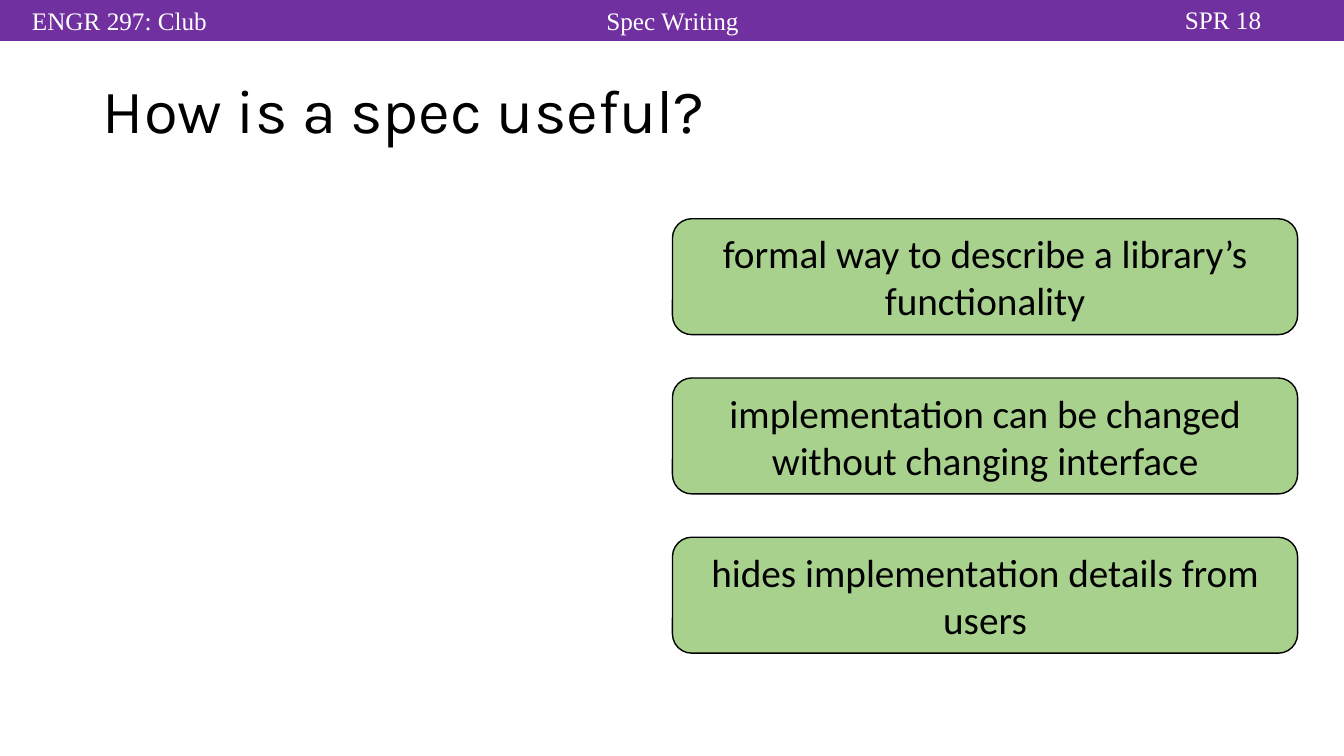
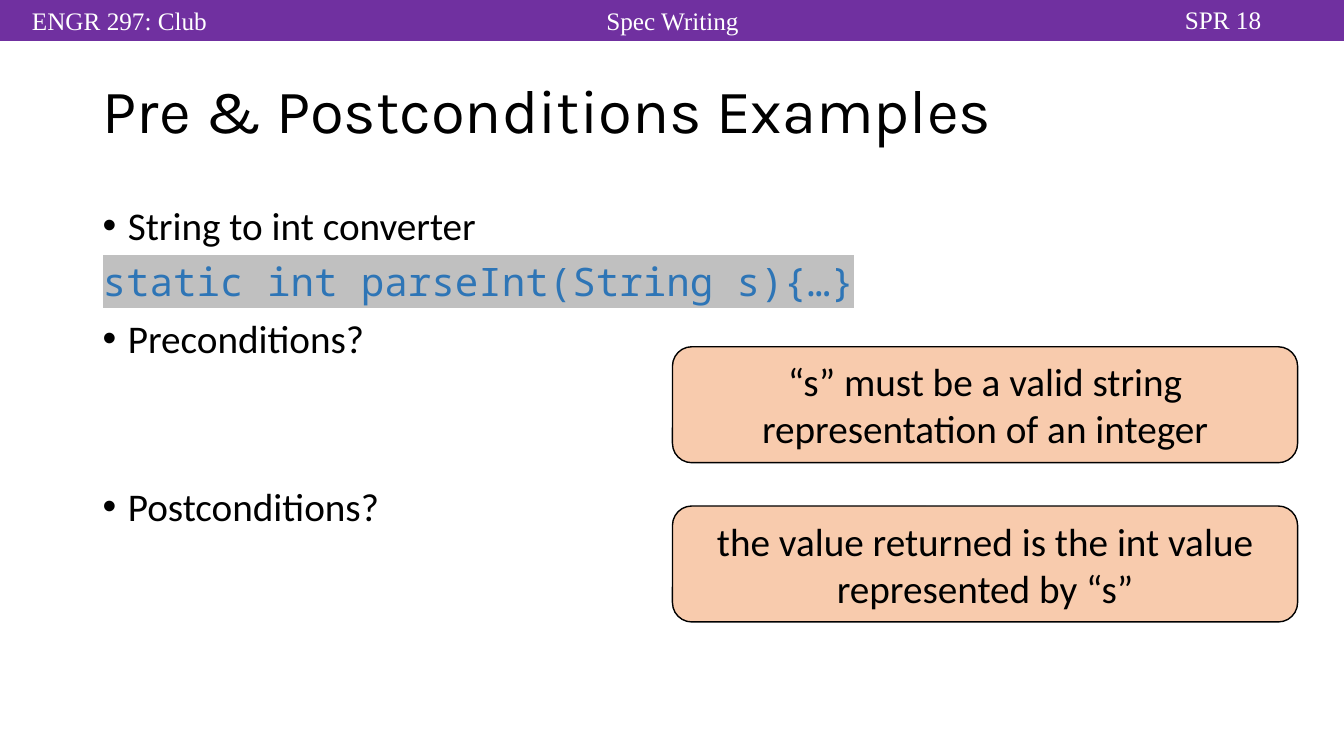
from pptx import Presentation
from pptx.dml.color import RGBColor
from pptx.enum.shapes import MSO_SHAPE
from pptx.enum.text import MSO_ANCHOR, MSO_AUTO_SIZE, PP_ALIGN
from pptx.oxml import parse_xml
from pptx.oxml.ns import nsdecls, qn
from pptx.util import Inches, Pt

RECT, ROUND = MSO_SHAPE.RECTANGLE, MSO_SHAPE.ROUNDED_RECTANGLE
MIDDLE, TOP = MSO_ANCHOR.MIDDLE, MSO_ANCHOR.TOP
LEFT, CENTER = PP_ALIGN.LEFT, PP_ALIGN.CENTER
FIXED = MSO_AUTO_SIZE.NONE

PURPLE = RGBColor(0x70, 0x30, 0xA0)
GREEN = RGBColor(0xA9, 0xD1, 0x8E)
PEACH = RGBColor(0xF8, 0xCB, 0xAD)
BLUE = RGBColor(0x2E, 0x75, 0xB6)
GRAY = RGBColor(0xC0, 0xC0, 0xC0)
BLACK = RGBColor(0, 0, 0)
WHITE = RGBColor(0xFF, 0xFF, 0xFF)

# Content
HEADER = [  # text, left, top, width
    ("Spec Writing", 4.42, 0, 4.5),
    ("SPR 18", 10.92, -0.01, 2.42),
    ("ENGR 297: Club", -0.05, 0, 2.47),
]
SLIDES = [
    {
        "title": "How is a spec useful?",
        "body": [],
        "fill": GREEN,
        "top": 2.17,
        "cards": [
            "formal way to describe a library’s functionality",
            "implementation can be changed without changing interface",
            "hides implementation details from users",
        ],
    },
    {
        "title": "Pre & Postconditions Examples",
        "body": [  # text, is code, space before in points
            ("String to int converter", False, 10),
            ("static int parseInt(String s){…}", True, 10),
            ("Preconditions?", False, 10),
            ("Postconditions?", False, 90),
        ],
        "fill": PEACH,
        "top": 3.44,
        "cards": [
            "“s” must be a valid string representation of an integer",
            "the value returned is the int value represented by “s”",
        ],
    },
]

# Layout measures in inches
WIDTH, HEIGHT = 13.33, 7.5
BAND = 0.4
MARGIN, SPAN = 0.92, 11.5
CARD_LEFT, CARD_WIDTH, CARD_HEIGHT, CARD_STEP = 6.67, 6.2, 1.15, 1.58


def style(para, size, font, color, align=LEFT):
    para.alignment = align
    for run in para.runs:
        run.font.size = Pt(size)
        run.font.name = font
        run.font.color.rgb = color


def add_box(slide, kind, place, fill, line):
    box = slide.shapes.add_shape(kind, *map(Inches, place))
    box.shadow.inherit = False
    box.fill.solid()
    box.fill.fore_color.rgb = fill
    box.line.color.rgb = line
    box.line.width = Pt(1)
    return box


def add_text(slide, place):
    box = slide.shapes.add_textbox(*map(Inches, place))
    box.text_frame.word_wrap = True
    return box


def add_header(slide, layout):
    """Build the band and its labels, then move them to the shared layout."""
    parts = [add_box(slide, RECT, (0, 0, WIDTH, BAND), PURPLE, PURPLE)]
    for text, left, top, width in HEADER:
        label = add_text(slide, (left, top, width, BAND))
        label.text_frame.text = text
        style(label.text_frame.paragraphs[0], 18, "Times New Roman", WHITE, CENTER)
        parts.append(label)
    for part in parts:
        layout.shapes.element.append(part.element)


def set_title(slide, text):
    title = slide.shapes.title
    title.left, title.top = Inches(MARGIN), Inches(BAND)
    title.width, title.height = Inches(SPAN), Inches(1.45)
    frame = title.text_frame
    frame.text = text
    frame.auto_size = FIXED
    frame.vertical_anchor = MIDDLE
    para = frame.paragraphs[0]
    para.line_spacing = 0.9
    style(para, 44, "Karla", BLACK)


def add_bullet(para):
    props = para._p.get_or_add_pPr()
    props.set("marL", str(Inches(0.25)))
    props.set("indent", str(-Inches(0.25)))
    props.append(parse_xml(f'<a:buFont {nsdecls("a")} typeface="Arial"/>'))
    props.append(parse_xml(f'<a:buChar {nsdecls("a")} char="•"/>'))


def shade(run, color):
    mark = parse_xml(
        f'<a:highlight {nsdecls("a")}><a:srgbClr val="{color}"/></a:highlight>'
    )
    run.font._element.find(qn("a:latin")).addprevious(mark)


def add_body(slide, rows):
    frame = add_text(slide, (MARGIN, 2, SPAN, 4.76)).text_frame
    frame.vertical_anchor = TOP
    frame.text = "\n".join(text for text, _, _ in rows)
    for para, (_, code, gap) in zip(frame.paragraphs, rows):
        para.line_spacing = 0.9
        para.space_before = Pt(gap)
        if code:
            style(para, 28, "Noto Sans Mono", BLUE)
            shade(para.runs[0], GRAY)
        else:
            style(para, 28, "Calibri", BLACK)
            add_bullet(para)


def add_cards(slide, texts, top, fill):
    for i, text in enumerate(texts):
        place = (CARD_LEFT, top + i * CARD_STEP, CARD_WIDTH, CARD_HEIGHT)
        card = add_box(slide, ROUND, place, fill, BLACK)
        frame = card.text_frame
        frame.word_wrap = True
        frame.vertical_anchor = MIDDLE
        frame.text = text
        style(frame.paragraphs[0], 28, "Calibri", BLACK, CENTER)


def main():
    deck = Presentation()
    deck.slide_width, deck.slide_height = Inches(WIDTH), Inches(HEIGHT)
    layout = deck.slide_layouts.get_by_name("Title Only")
    for i, data in enumerate(SLIDES):
        slide = deck.slides.add_slide(layout)
        if i == 0:
            add_header(slide, layout)
        set_title(slide, data["title"])
        if data["body"]:
            add_body(slide, data["body"])
        add_cards(slide, data["cards"], data["top"], data["fill"])
    deck.save("out.pptx")


if __name__ == "__main__":
    main()
